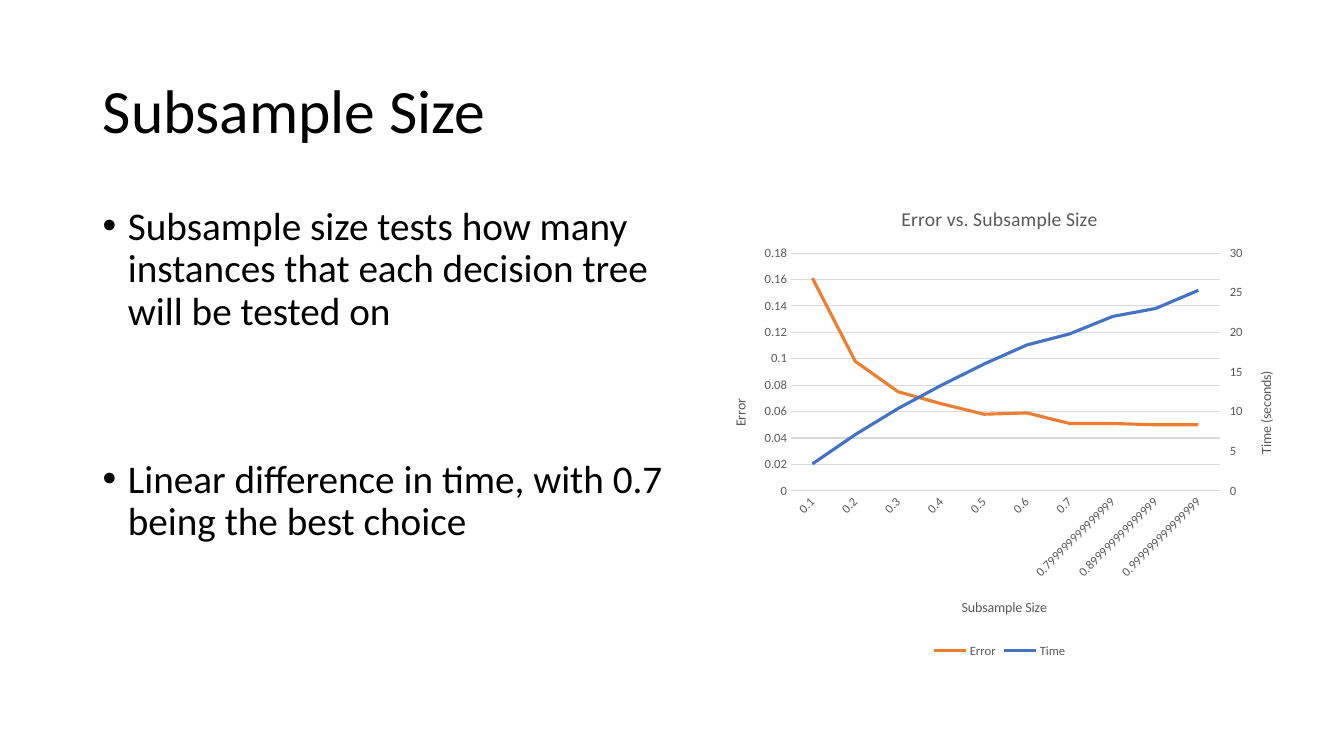
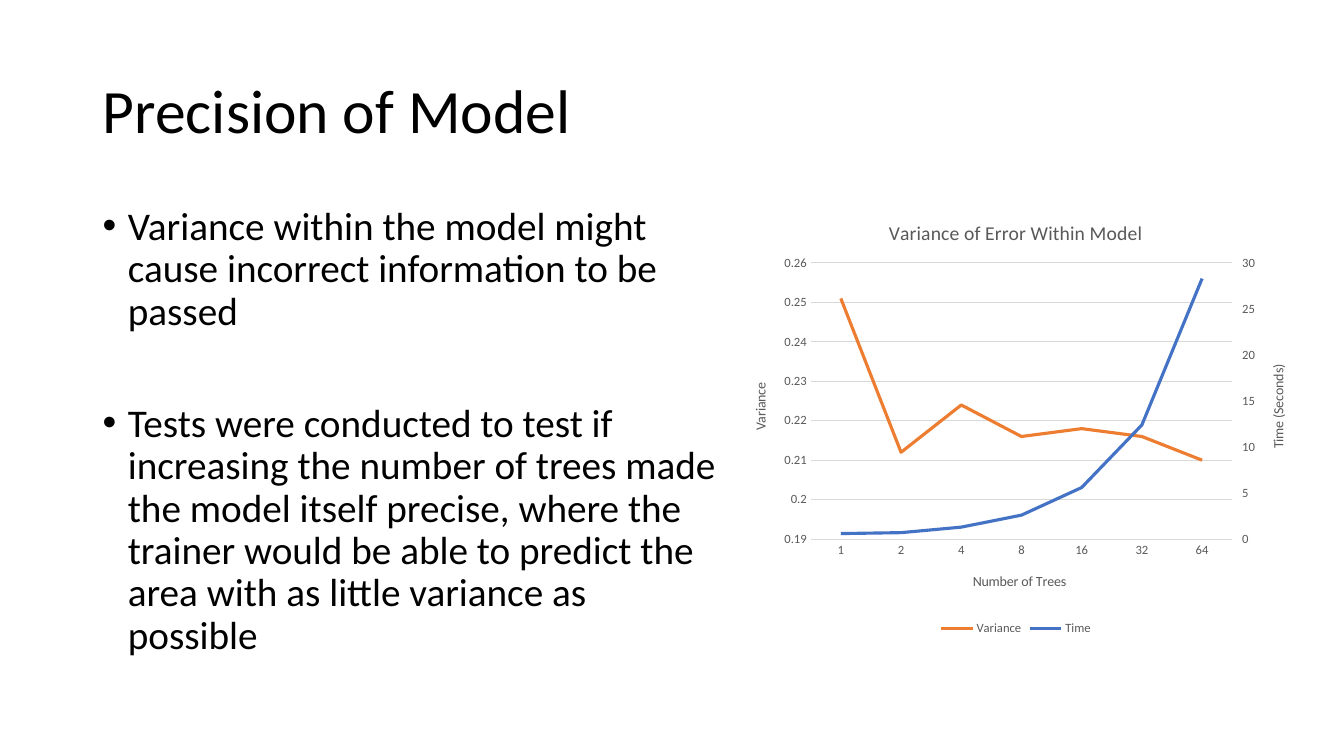
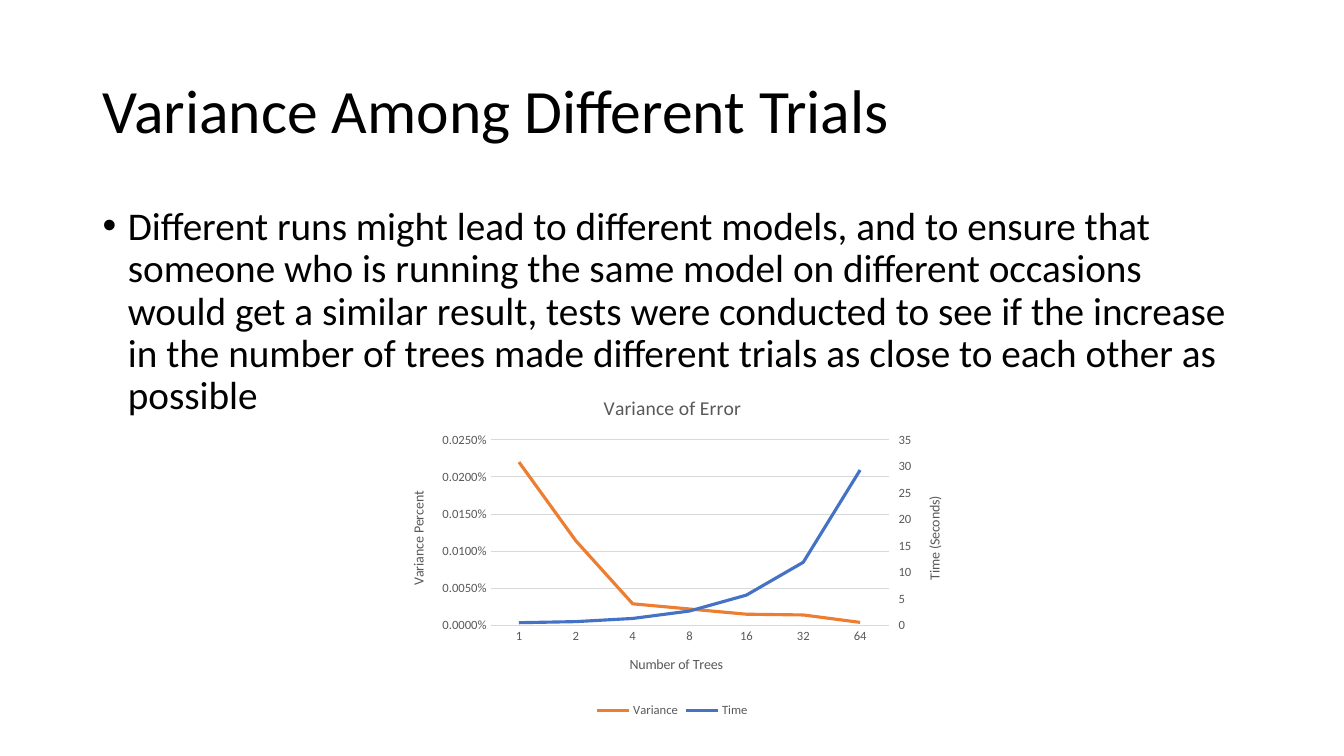
"""Builds three slides on model error, variance and training time."""
import copy
from dataclasses import dataclass

import pptx
import pptx.chart.axis
import pptx.chart.data
import pptx.dml.color
import pptx.enum.chart
import pptx.enum.text
import pptx.oxml.ns
import pptx.oxml.xmlchemy
import pptx.util
from pptx.util import Inches

qn = pptx.oxml.ns.qn


@dataclass(frozen=True)
class Theme:
    font: str = "Calibri"
    ink: str = "000000"
    muted: str = "595959"
    rule: str = "D9D9D9"
    measure: str = "ED7D31"
    time: str = "4472C4"
    title: int = 44
    body: int = 28
    chart_title: int = 14
    axis_title: int = 10
    label: int = 9
    leading: float = 0.9
    rule_width: float = 0.75
    series_width: float = 2.25


THEME = Theme()
TREES = ["1", "2", "4", "8", "16", "32", "64"]


def rgb(value):
    return pptx.dml.color.RGBColor.from_string(value)


def style_font(font, size, color):
    font.name = THEME.font
    font.size = pptx.util.Pt(size)
    font.bold = False
    font.color.rgb = rgb(color)


def style_line(line, color, width):
    line.color.rgb = rgb(color)
    line.width = pptx.util.Pt(width)


def append_element(parent, tag, **attributes):
    element = pptx.oxml.xmlchemy.OxmlElement(tag)
    for name, value in attributes.items():
        element.set(name, str(value))
    parent.append(element)
    return element


def add_page(deck, title):
    page = deck.slides.add_slide(deck.slide_layouts[5])
    box = page.shapes.title
    box.left, box.top = Inches(0.92), Inches(0.4)
    box.width, box.height = Inches(11.5), Inches(1.45)
    frame = box.text_frame
    frame.text = title
    frame.auto_size = pptx.enum.text.MSO_AUTO_SIZE.NONE
    frame.vertical_anchor = pptx.enum.text.MSO_ANCHOR.MIDDLE
    para = frame.paragraphs[0]
    para.alignment = pptx.enum.text.PP_ALIGN.LEFT
    para.line_spacing = THEME.leading
    style_font(para.runs[0].font, THEME.title, THEME.ink)
    return page


def add_bullets(page, width, height, texts, gap=10):
    box = page.shapes.add_textbox(Inches(0.92), Inches(2), Inches(width), Inches(height))
    frame = box.text_frame
    frame.word_wrap = True
    frame.text = "\n".join(texts)
    for number, para in enumerate(frame.paragraphs):
        para.line_spacing = THEME.leading
        para.space_before = pptx.util.Pt(gap if number else 10)
        style_font(para.runs[0].font, THEME.body, THEME.ink)
        properties = para._p.get_or_add_pPr()
        properties.set("marL", str(Inches(0.25)))
        properties.set("indent", str(Inches(-0.25)))
        append_element(properties, "a:buFont", typeface="Arial")
        append_element(properties, "a:buChar", char="•")


def place(element, index, inner=False, **fractions):
    """Pins a chart part at fractions of the chart frame."""
    for old in element.findall(qn("c:layout")):
        element.remove(old)
    layout = pptx.oxml.xmlchemy.OxmlElement("c:layout")
    manual = append_element(layout, "c:manualLayout")
    settings = [("layoutTarget", "inner")] if inner else []
    settings += [("xMode", "edge"), ("yMode", "edge"), *fractions.items()]
    for tag, value in settings:
        append_element(manual, "c:" + tag, val=value)
    element.insert(index, layout)


def title_axis(axis, text, rotation=0):
    axis.has_title = True
    frame = axis.axis_title.text_frame
    frame.text = text
    style_font(frame.paragraphs[0].runs[0].font, THEME.axis_title, THEME.muted)
    frame._txBody.find(qn("a:bodyPr")).set("rot", str(rotation * 60000))


def style_value_axis(axis, title, scale, number_format="General"):
    title_axis(axis, title, -90)
    axis.minimum_scale, axis.maximum_scale, axis.major_unit = scale
    style_font(axis.tick_labels.font, THEME.label, THEME.muted)
    axis.tick_labels.number_format = number_format
    axis.tick_labels.number_format_is_linked = False
    axis.format.line.fill.background()


def style_category_axis(axis, title, title_at, rotation):
    title_axis(axis, title)
    place(axis.axis_title._element, 1, x=title_at[0], y=title_at[1])
    axis.major_tick_mark = pptx.enum.chart.XL_TICK_MARK.NONE
    style_font(axis.tick_labels.font, THEME.label, THEME.muted)
    style_line(axis.format.line, THEME.rule, THEME.rule_width)
    if rotation:
        axis._element.find(qn("c:txPr")).find(qn("a:bodyPr")).set("rot", str(rotation * 60000))


def add_right_axis(chart):
    """Moves the second series to its own value axis and returns that axis."""
    left_plot = chart.plots[0]._element
    right_plot = copy.deepcopy(left_plot)
    left_plot.remove(left_plot.findall(qn("c:ser"))[1])
    right_plot.remove(right_plot.findall(qn("c:ser"))[0])
    left_plot.addnext(right_plot)
    category = copy.deepcopy(chart.category_axis._element)
    value = copy.deepcopy(chart.value_axis._element)
    chart.value_axis._element.addnext(value)
    value.addnext(category)
    for reference, number in zip(right_plot.findall(qn("c:axId")), ("5001", "5002")):
        reference.set("val", number)
    for axis, number, crossed in ((category, "5001", "5002"), (value, "5002", "5001")):
        axis.find(qn("c:axId")).set("val", number)
        axis.find(qn("c:crossAx")).set("val", crossed)
    value.find(qn("c:axPos")).set("val", "r")
    value.find(qn("c:crosses")).set("val", "max")
    hidden = pptx.chart.axis.CategoryAxis(category)
    hidden.has_title = False
    hidden.visible = False
    right = pptx.chart.axis.ValueAxis(value)
    right.has_major_gridlines = False
    right.major_tick_mark = pptx.enum.chart.XL_TICK_MARK.OUTSIDE
    return right


def add_time_chart(page, at, title, categories, category_title, measure, times,
                   value_title, scale, time_title, time_scale, plot_at, title_at,
                   number_format="General", rotation=0):
    data = pptx.chart.data.CategoryChartData()
    data.categories = categories
    data.add_series(measure[0], measure[1])
    data.add_series("Time", times)
    kind = pptx.enum.chart.XL_CHART_TYPE.LINE
    chart = page.shapes.add_chart(kind, *map(Inches, at), data).chart
    style_font(chart.font, THEME.axis_title, THEME.ink)
    chart.has_title = True
    chart.chart_title.text_frame.text = title
    heading = chart.chart_title.text_frame.paragraphs[0].runs[0]
    style_font(heading.font, THEME.chart_title, THEME.muted)
    chart.has_legend = True
    chart.legend.position = pptx.enum.chart.XL_LEGEND_POSITION.BOTTOM
    chart.legend.include_in_layout = False
    style_font(chart.legend.font, THEME.label, THEME.muted)
    chart.plots[0].vary_by_categories = False
    for series, color in zip(chart.plots[0].series, (THEME.measure, THEME.time)):
        series.smooth = False
        style_line(series.format.line, color, THEME.series_width)
    style_category_axis(chart.category_axis, category_title, title_at, rotation)
    left = chart.value_axis
    left.major_tick_mark = pptx.enum.chart.XL_TICK_MARK.NONE
    left.has_major_gridlines = True
    style_line(left.major_gridlines.format.line, THEME.rule, THEME.rule_width)
    style_value_axis(left, value_title, scale, number_format)
    style_value_axis(add_right_axis(chart), time_title, time_scale)
    plot_area = chart.plots[0]._element.getparent()
    place(plot_area, 0, inner=True, **dict(zip("xywh", plot_at)))


def add_subsample_page(deck):
    page = add_page(deck, "Subsample Size")
    add_bullets(page, 6.12, 4.76, [
        "Subsample size tests how many instances that each decision tree will be tested on",
        "Linear difference in time, with 0.7 being the best choice",
    ], gap=90)
    sizes = [f"0.{tenth}" for tenth in range(1, 8)]
    sizes += [f"0.{tenth}99999999999999" for tenth in range(7, 10)]
    add_time_chart(
        page, (7.04, 1.85, 5.75, 4.72), "Error vs. Subsample Size", sizes, "Subsample Size",
        ("Error", [0.161, 0.098, 0.075, 0.066, 0.058, 0.059, 0.051, 0.051, 0.05, 0.05]),
        [3.4, 7.1, 10.4, 13.3, 16, 18.4, 19.8, 22, 23, 25.3],
        "Error", (0, 0.18, 0.02), "Time (seconds)", (0, 30, 5),
        plot_at=(0.14, 0.14, 0.74, 0.5), title_at=(0.43, 0.86), rotation=-45)


def add_precision_page(deck):
    page = add_page(deck, "Precision of Model")
    add_bullets(page, 6.34, 4.76, [
        "Variance within the model might cause incorrect information to be passed",
        "Tests were conducted to test if increasing the number of trees made the model "
        "itself precise, where the trainer would be able to predict the area with as "
        "little variance as possible",
    ], gap=50)
    add_time_chart(
        page, (7.25, 2, 5.65, 4.35), "Variance of Error Within Model", TREES, "Number of Trees",
        ("Variance", [0.251, 0.212, 0.224, 0.216, 0.218, 0.216, 0.21]),
        [0.6, 0.7, 1.3, 2.6, 5.6, 12.4, 28.3],
        "Variance", (0.19, 0.26, 0.01), "Time (Seconds)", (0, 30, 5),
        plot_at=(0.14, 0.14, 0.74, 0.63), title_at=(0.42, 0.84))


def add_trials_page(deck):
    page = add_page(deck, "Variance Among Different Trials")
    add_bullets(page, 11.5, 2.35, [
        "Different runs might lead to different models, and to ensure that someone who is "
        "running the same model on different occasions would get a similar result, tests "
        "were conducted to see if the increase in the number of trees made different "
        "trials as close to each other as possible",
    ])
    add_time_chart(
        page, (3.85, 3.75, 5.64, 3.41), "Variance of Error", TREES, "Number of Trees",
        ("Variance", [0.00022, 0.000114, 0.000029, 0.000022, 0.000015, 0.000014, 0.000004]),
        [0.5, 0.7, 1.3, 2.7, 5.7, 11.9, 29.3],
        "Variance Percent", (0, 0.00025, 0.00005), "Time (Seconds)", (0, 35, 5),
        plot_at=(0.18, 0.18, 0.7, 0.54), title_at=(0.42, 0.8), number_format="0.0000%")


def main():
    deck = pptx.Presentation()
    deck.slide_width, deck.slide_height = Inches(13.33), Inches(7.5)
    add_subsample_page(deck)
    add_precision_page(deck)
    add_trials_page(deck)
    deck.save("out.pptx")


main()
